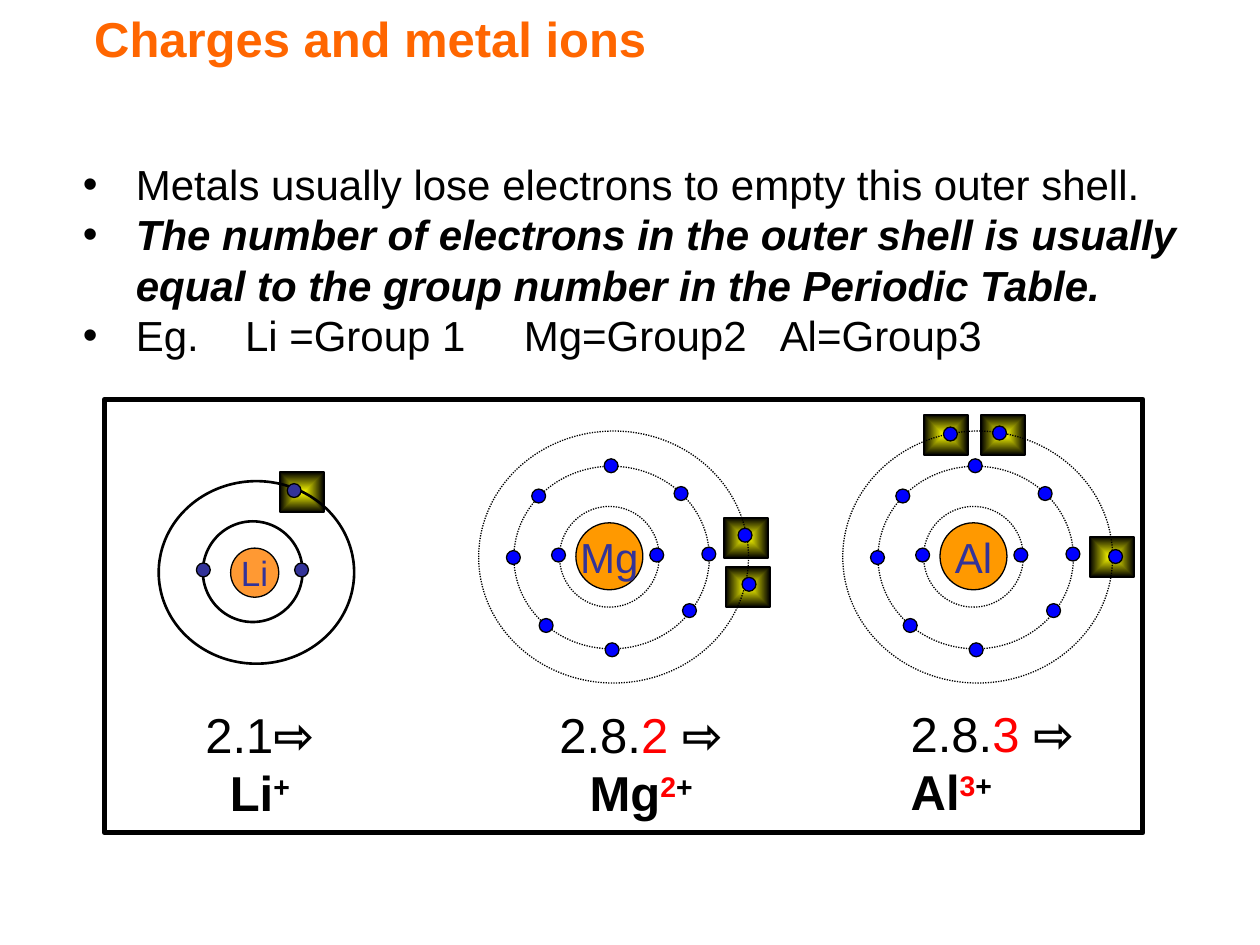
from dataclasses import dataclass

import lxml.etree
import pptx
import pptx.dml.color
import pptx.enum.dml
import pptx.enum.shapes
import pptx.enum.text
import pptx.oxml.ns
import pptx.util

Cm = pptx.util.Cm
Pt = pptx.util.Pt
RGBColor = pptx.dml.color.RGBColor
SHAPE = pptx.enum.shapes.MSO_SHAPE
ALIGN = pptx.enum.text.PP_ALIGN
ANCHOR = pptx.enum.text.MSO_ANCHOR
DOTTED = pptx.enum.dml.MSO_LINE.ROUND_DOT
qn = pptx.oxml.ns.qn

BLACK = RGBColor(0x00, 0x00, 0x00)
WHITE = RGBColor(0xFF, 0xFF, 0xFF)
YELLOW = RGBColor(0xFF, 0xFF, 0x00)
RED = RGBColor(0xFF, 0x00, 0x00)
BLUE = RGBColor(0x00, 0x00, 0xFF)
INDIGO = RGBColor(0x33, 0x33, 0x99)
TITLE_ORANGE = RGBColor(0xFF, 0x66, 0x00)
ORANGE = RGBColor(0xFF, 0x99, 0x00)
LIGHT_ORANGE = RGBColor(0xFF, 0x99, 0x33)

FONT = "Arial"
ELECTRON = 0.28
MARKER = (0.89, 0.81)


@dataclass
class Run:
    text: str
    color: RGBColor = BLACK
    bold: bool = False
    italic: bool = False
    raised: bool = False


@dataclass
class Atom:
    """Boxes are left, top, width, height in cm; parts are relative to x, y."""
    symbol: str
    x: float
    y: float
    shells: list
    nucleus: tuple
    electrons: list
    markers: list
    caption_box: tuple
    caption: list
    caption_align: ALIGN = ALIGN.CENTER
    symbol_size: int = 24
    nucleus_color: RGBColor = ORANGE
    electron_color: RGBColor = BLUE
    shell_width: float = 0.75
    dotted: bool = True


# Shells and electrons that magnesium and aluminium have in common
SHELLS = [(0, 0, 5.44, 5.08), (0.71, 0.71, 3.94, 3.68), (1.63, 1.52, 2.01, 2.03)]
NUCLEUS = (1.96, 1.85, 1.35, 1.35)
CORE = [(1.47, 2.36), (3.45, 2.36),
        (0.56, 2.41), (4.5, 2.34), (4.11, 3.48), (2.55, 4.27),
        (2.53, 0.56), (1.22, 3.78), (3.94, 1.12), (1.07, 1.17)]

ATOMS = [
    Atom("Mg", 9.65, 8.69, SHELLS, NUCLEUS, CORE + [(5.23, 1.96), (5.31, 2.95)],
         [(4.95, 1.75), (4.98, 2.74)], (10.87, 14.07, 4.11, 2.62),
         [[Run("2.8."), Run("2 ", RED), Run("⇨ Mg", bold=True),
           Run("2", RED, bold=True, raised=True), Run("+", bold=True, raised=True)]]),
    Atom("Al", 16.99, 8.69, SHELLS, NUCLEUS,
         CORE + [(2.03, -0.08), (3.02, -0.1), (5.36, 2.39)],
         [(1.63, -0.33), (2.79, -0.33), (4.98, 2.13)], (18.11, 14.05, 4.47, 2.62),
         [[Run("2.8."), Run("3 ", RED), Run("⇨", bold=True)],
          [Run("Al", bold=True), Run("3", RED, bold=True, raised=True),
           Run("+", bold=True, raised=True)]], ALIGN.LEFT),
    Atom("Li", 3.2, 9.7, [(0, 0, 3.94, 3.68), (0.89, 0.81, 2.01, 2.03)],
         (1.45, 1.35, 0.97, 0.99), [(0.76, 1.65), (2.74, 1.65), (2.59, 0.05)],
         [(2.44, -0.18)], (3.78, 14.07, 2.92, 2.62),
         [[Run("2.1"), Run("⇨Li", bold=True), Run("+", bold=True, raised=True)]],
         symbol_size=20, nucleus_color=LIGHT_ORANGE, electron_color=INDIGO,
         shell_width=1.5, dotted=False),
]

BULLETS = [
    [Run("Metals usually lose electrons to empty this outer shell.")],
    [Run("The number of electrons in the outer shell is usually equal to the "
         "group number in the Periodic Table.", bold=True, italic=True)],
    [Run("Eg.\tLi =Group 1\tMg=Group2\tAl=Group3")],
]
EXAMPLE_TABS = (3.27, 8.89, 14.05)


def add_bullet(p, indent: float, tabs: tuple) -> None:
    pPr = p._p.get_or_add_pPr()
    pPr.set("marL", str(Cm(indent)))
    pPr.set("indent", str(-Cm(indent)))
    lxml.etree.SubElement(pPr, qn("a:buFont"), typeface=FONT)
    lxml.etree.SubElement(pPr, qn("a:buChar"), char="•")
    tab_list = lxml.etree.SubElement(pPr, qn("a:tabLst"))
    for pos in tabs:
        lxml.etree.SubElement(tab_list, qn("a:tab"), pos=str(Cm(pos)), algn="l")


def write(tf, paragraphs: list, *, size: int, align=ALIGN.LEFT, anchor=ANCHOR.TOP,
          wrap: bool = True, indent: float = 0, tabs: tuple = ()) -> None:
    tf.word_wrap = wrap
    tf.vertical_anchor = anchor
    for i, runs in enumerate(paragraphs):
        p = tf.paragraphs[0] if i == 0 else tf.add_paragraph()
        p.alignment = align
        if indent:
            add_bullet(p, indent, tabs)
        for run in runs:
            r = p.add_run()
            r.text = run.text
            r.font.name = FONT
            r.font.size = Pt(size)
            r.font.bold = run.bold
            r.font.italic = run.italic
            r.font.color.rgb = run.color
            if run.raised:
                r.font._element.set("baseline", "30000")


def add_text(s, box: tuple, paragraphs: list, **fmt):
    tf = s.shapes.add_textbox(*map(Cm, box)).text_frame
    write(tf, paragraphs, **fmt)
    return tf


def add_shape(s, kind, box: tuple, fill=None, width: float = 0.75, dotted: bool = False):
    sp = s.shapes.add_shape(kind, *map(Cm, box))
    sp.shadow.inherit = False
    sp.line.color.rgb = BLACK
    sp.line.width = Pt(width)
    if dotted:
        sp.line.dash_style = DOTTED
    if fill is None:
        sp.fill.background()
    else:
        sp.fill.solid()
        sp.fill.fore_color.rgb = fill
    return sp


def add_marker(s, x: float, y: float) -> None:
    """Square behind an outer electron, shaded from its centre."""
    sp = add_shape(s, SHAPE.RECTANGLE, (x, y, *MARKER), width=1.25)
    sp.fill.gradient()
    for stop, color, position in zip(sp.fill.gradient_stops, (YELLOW, BLACK), (0, 1)):
        stop.color.rgb = color
        stop.position = position
    grad = sp._element.spPr.find(qn("a:gradFill"))
    grad.remove(grad.find(qn("a:lin")))
    centre = lxml.etree.SubElement(grad, qn("a:path"), path="shape")
    lxml.etree.SubElement(centre, qn("a:fillToRect"),
                          dict.fromkeys("ltrb", "50000"))


def add_atom(s, atom: Atom) -> None:
    for dx, dy, w, h in atom.shells:
        add_shape(s, SHAPE.OVAL, (atom.x + dx, atom.y + dy, w, h),
                  width=atom.shell_width, dotted=atom.dotted)
    dx, dy, w, h = atom.nucleus
    sp = add_shape(s, SHAPE.OVAL, (atom.x + dx, atom.y + dy, w, h), atom.nucleus_color)
    write(sp.text_frame, [[Run(atom.symbol, INDIGO)]], size=atom.symbol_size,
          align=ALIGN.CENTER, anchor=ANCHOR.MIDDLE, wrap=False)
    for dx, dy in atom.electrons:
        add_shape(s, SHAPE.OVAL, (atom.x + dx, atom.y + dy, ELECTRON, ELECTRON),
                  atom.electron_color)
    add_text(s, atom.caption_box, atom.caption, size=28, align=atom.caption_align)


def main() -> None:
    prs = pptx.Presentation()
    prs.slide_width, prs.slide_height = Cm(25.4), Cm(19.05)
    s = prs.slides.add_slide(prs.slide_layouts[6])

    # Frame and bullet points
    add_shape(s, SHAPE.RECTANGLE, (2.11, 8.05, 20.93, 8.74), WHITE, width=3)
    add_text(s, (1.42, 3.07, 22.71, 6.35), BULLETS, size=24, indent=1.07,
             tabs=EXAMPLE_TABS)

    # Markers lie behind all the atoms
    for atom in ATOMS:
        for dx, dy in atom.markers:
            add_marker(s, atom.x + dx, atom.y + dy)
    for atom in ATOMS:
        add_atom(s, atom)

    # Title
    tf = add_text(s, (0, 0.05, 21.69, 1.45),
                  [[Run("Charges and metal ions", TITLE_ORANGE, bold=True)]],
                  size=28, anchor=ANCHOR.MIDDLE)
    tf.margin_left = Cm(1.9)

    prs.save("out.pptx")


if __name__ == "__main__":
    main()
